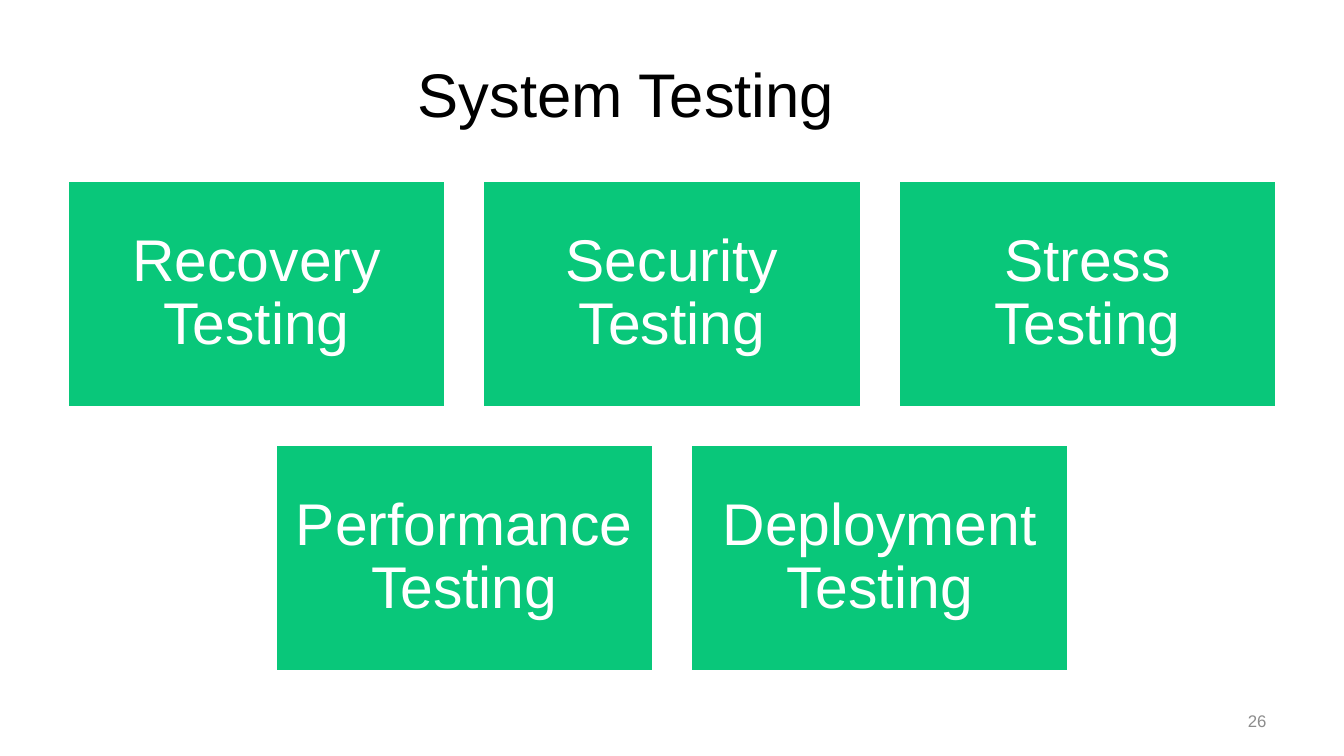
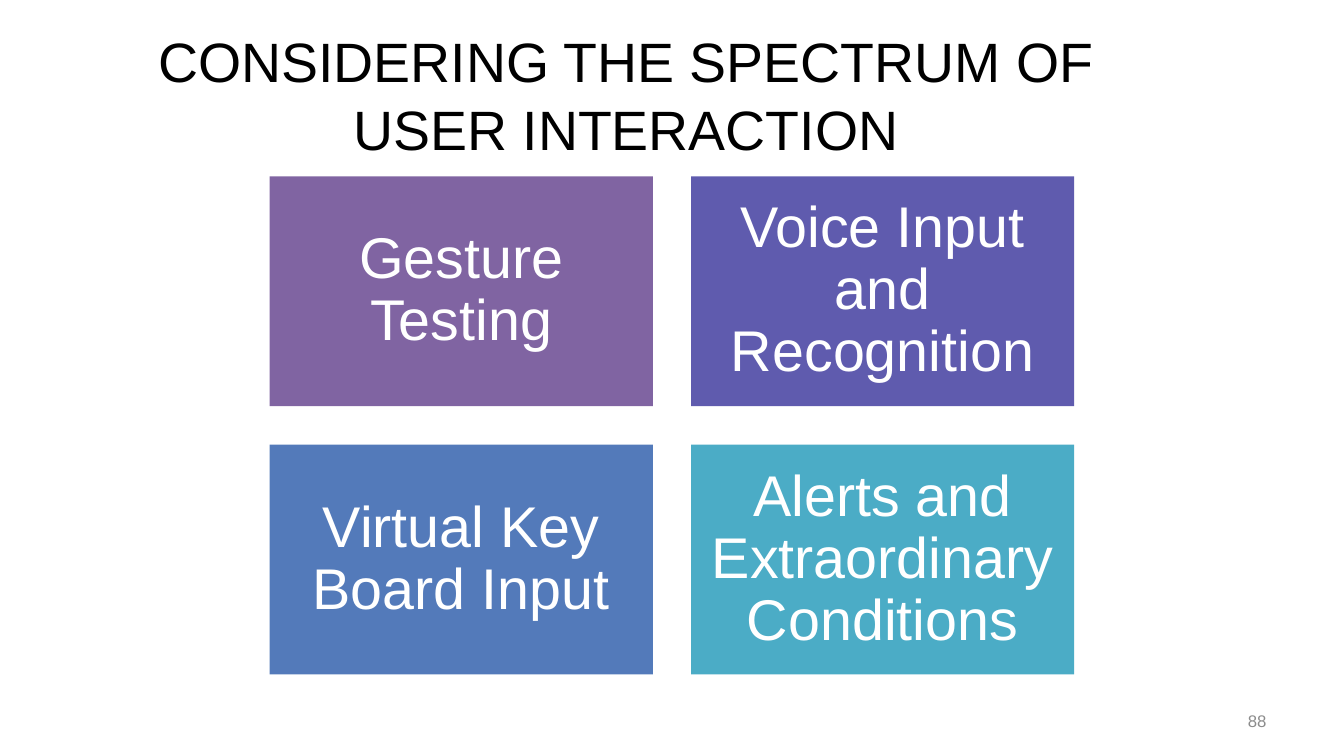
from dataclasses import dataclass

from pptx import Presentation
from pptx.dml.color import RGBColor
from pptx.enum.shapes import MSO_SHAPE
from pptx.enum.text import MSO_ANCHOR, MSO_AUTO_SIZE, PP_ALIGN
from pptx.presentation import Presentation as Deck
from pptx.slide import Slide
from pptx.text.text import TextFrame
from pptx.util import Inches, Pt


@dataclass(frozen=True)
class Theme:
    font: str = "Arial"
    black: str = "000000"
    white: str = "FFFFFF"
    gray: str = "8C8C8C"
    green: str = "09C77A"
    purple: str = "8064A2"
    indigo: str = "5F5BAE"
    blue: str = "537ABA"
    teal: str = "4BACC6"
    number_size: float = 12
    outline_width: float = 2


@dataclass(frozen=True)
class Tile:
    text: str
    fill: str


@dataclass(frozen=True)
class TileGrid:
    rows: list[list[Tile]]
    top: float
    width: float
    height: float
    gap: float
    text_size: float
    outlined: bool = False


@dataclass(frozen=True)
class TileSlide:
    title: str
    title_size: float
    title_spacing: float
    number: str
    grid: TileGrid


THEME = Theme()
SLIDE_WIDTH, SLIDE_HEIGHT = 13.33, 7.5
TILE_INSET = 0.17

SLIDES = [
    TileSlide(
        "System Testing", 44, 1.0, "26",
        TileGrid(
            rows=[
                [Tile(f"{kind} Testing", THEME.green) for kind in kinds]
                for kinds in (("Recovery", "Security", "Stress"), ("Performance", "Deployment"))
            ],
            top=1.79, width=3.75, height=2.25, gap=0.37, text_size=42, outlined=True,
        ),
    ),
    TileSlide(
        "CONSIDERING THE SPECTRUM OF USER INTERACTION", 39.6, 1.03, "88",
        TileGrid(
            rows=[
                [Tile("Gesture Testing", THEME.purple),
                 Tile("Voice Input and Recognition", THEME.indigo)],
                [Tile("Virtual Key Board Input", THEME.blue),
                 Tile("Alerts and Extraordinary Conditions", THEME.teal)],
            ],
            top=1.75, width=3.8, height=2.28, gap=0.38, text_size=41,
        ),
    ),
]


def write_text(text_frame: TextFrame, text: str, size: float, color: str,
               alignment: PP_ALIGN = PP_ALIGN.CENTER, line_spacing: float = 1.0) -> None:
    """Fill a frame with one vertically centred paragraph."""
    text_frame.text = text
    text_frame.word_wrap = True
    text_frame.auto_size = MSO_AUTO_SIZE.NONE
    text_frame.vertical_anchor = MSO_ANCHOR.MIDDLE
    paragraph = text_frame.paragraphs[0]
    paragraph.alignment = alignment
    paragraph.line_spacing = line_spacing
    for run in paragraph.runs:
        run.font.name = THEME.font
        run.font.size = Pt(size)
        run.font.color.rgb = RGBColor.from_string(color)


def add_title(slide: Slide, content: TileSlide) -> None:
    title = slide.shapes.title
    title.left, title.top = Inches(0.67), Inches(0.3)
    title.width, title.height = Inches(11.08), Inches(1.25)
    write_text(title.text_frame, content.title, content.title_size, THEME.black,
               line_spacing=content.title_spacing)


def add_tile(slide: Slide, tile: Tile, grid: TileGrid, left: float, top: float) -> None:
    shape = slide.shapes.add_shape(MSO_SHAPE.RECTANGLE, Inches(left), Inches(top),
                                   Inches(grid.width), Inches(grid.height))
    shape.shadow.inherit = False
    shape.fill.solid()
    shape.fill.fore_color.rgb = RGBColor.from_string(tile.fill)
    if grid.outlined:
        shape.line.color.rgb = RGBColor.from_string(THEME.white)
        shape.line.width = Pt(THEME.outline_width)
    else:
        shape.line.fill.background()
    text_frame = shape.text_frame
    text_frame.margin_left = text_frame.margin_right = Inches(TILE_INSET)
    text_frame.margin_top = text_frame.margin_bottom = Inches(TILE_INSET)
    write_text(text_frame, tile.text, grid.text_size, THEME.white, line_spacing=0.9)


def add_grid(slide: Slide, grid: TileGrid) -> None:
    """Stack the rows, each centred across the slide."""
    for row_index, row in enumerate(grid.rows):
        row_width = len(row) * (grid.width + grid.gap) - grid.gap
        row_left = (SLIDE_WIDTH - row_width) / 2
        top = grid.top + row_index * (grid.height + grid.gap)
        for column_index, tile in enumerate(row):
            left = row_left + column_index * (grid.width + grid.gap)
            add_tile(slide, tile, grid, left, top)


def add_slide_number(slide: Slide, number: str) -> None:
    box = slide.shapes.add_textbox(Inches(9.55), Inches(6.95), Inches(3.11), Inches(0.4))
    write_text(box.text_frame, number, THEME.number_size, THEME.gray, PP_ALIGN.RIGHT)


def add_tile_slide(presentation: Deck, content: TileSlide) -> None:
    slide = presentation.slides.add_slide(presentation.slide_layouts.get_by_name("Title Only"))
    add_title(slide, content)
    add_grid(slide, content.grid)
    add_slide_number(slide, content.number)


def main() -> None:
    presentation = Presentation()
    presentation.slide_width = Inches(SLIDE_WIDTH)
    presentation.slide_height = Inches(SLIDE_HEIGHT)
    for content in SLIDES:
        add_tile_slide(presentation, content)
    presentation.save("out.pptx")


if __name__ == "__main__":
    main()
